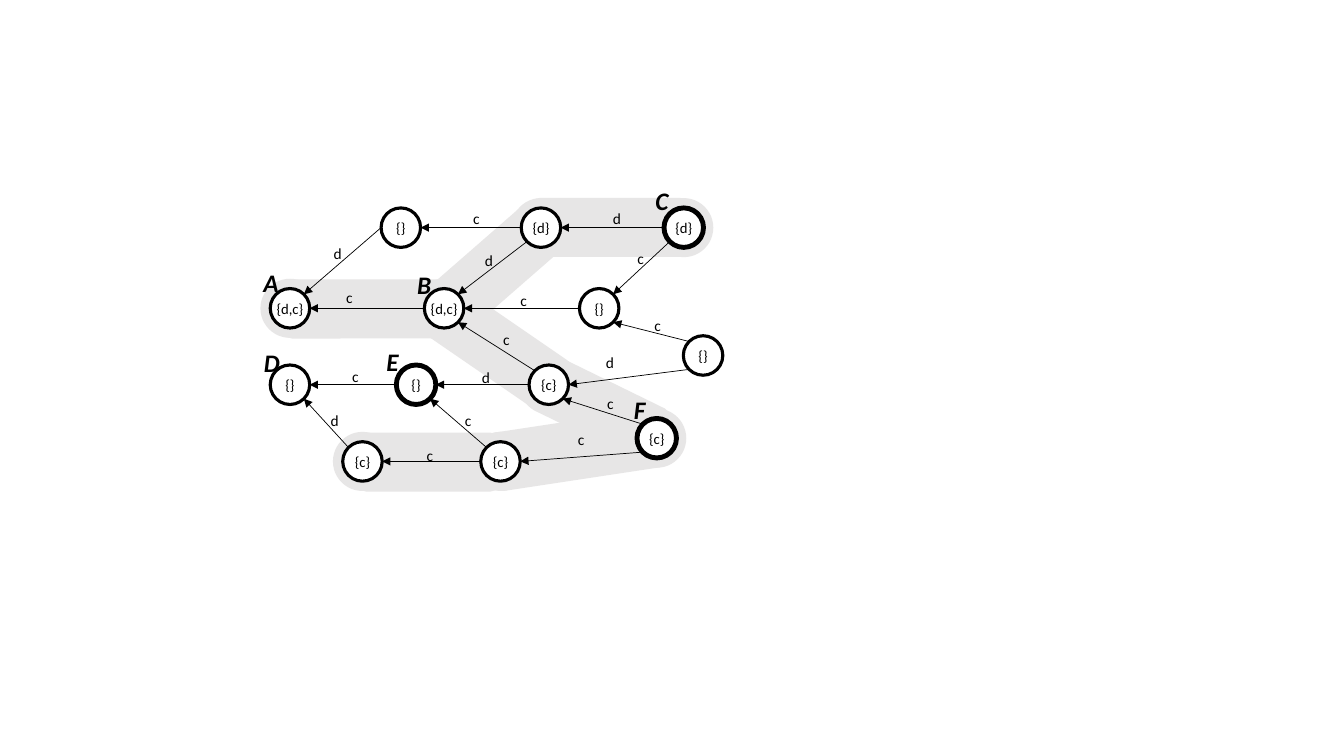
from math import sqrt

from lxml.etree import SubElement
from pptx import Presentation
from pptx.dml.color import RGBColor
from pptx.enum.shapes import MSO_CONNECTOR, MSO_SHAPE
from pptx.enum.text import MSO_ANCHOR, MSO_AUTO_SIZE, PP_ALIGN
from pptx.oxml.ns import qn
from pptx.util import Pt

FONT, BLACK, WHITE, BAND_GREY = "Calibri", "000000", "FFFFFF", "E7E6E6"
NODE_SIZE, BAND_SIZE = 28.2, 42.2

# Nodes: centre x, centre y, text, outline width
NODES = {
    "C": (488.4, 162.6, "{d}", 3.5),
    "right": (502.2, 253.9, "{}", 2.25),
    "F": (469.1, 313, "{c}", 3.5),
    "middle": (428, 220.2, "{}", 2.25),
    "top": (386.4, 162.6, "{d}", 2.25),
    "low": (357.5, 329.6, "{c}", 2.25),
    "B": (317.2, 220.2, "{d,c}", 2.25),
    "low left": (258.9, 329.6, "{c}", 2.25),
    "top left": (286.3, 162.6, "{}", 2.25),
    "E": (297.2, 274.8, "{}", 3.5),
    "centre": (392, 274.8, "{c}", 2.25),
    "D": (207.1, 274.8, "{}", 2.25),
    "A": (207.1, 220.2, "{d,c}", 2.25),
}

# Edges: source, side, target, side, label, label centre x, y
EDGES = [
    ("C", "SW", "middle", "NE", "c", 457.6, 184.7),
    ("C", "W", "top", "E", "d", 440.6, 155.9),
    ("right", "NW", "middle", "SE", "c", 469.8, 232.2),
    ("right", "SW", "centre", "E", "d", 435.6, 258.8),
    ("F", "NW", "centre", "SE", "c", 436, 288.4),
    ("F", "SW", "low", "E", "c", 415.1, 314.3),
    ("top", "W", "top left", "E", "c", 340.2, 155.9),
    ("top left", "W", "A", "NE", "d", 241.2, 181.1),
    ("top", "SW", "B", "NE", "d", 349.2, 186.1),
    ("middle", "W", "B", "E", "c", 374, 214.9),
    ("centre", "NW", "B", "SE", "c", 361.8, 242.3),
    ("centre", "W", "E", "E", "d", 347, 269.6),
    ("low", "NW", "E", "SE", "c", 334.4, 300.6),
    ("low", "W", "low left", "E", "c", 307.1, 325.1),
    ("E", "W", "D", "E", "c", 253.8, 268.9),
    ("low left", "NW", "D", "SE", "d", 239, 300.6),
    ("B", "W", "A", "E", "c", 249.5, 212.8),
]

# Grey paths: centre x, centre y, length, rotation; then the nodes with round ends
BANDS = [
    (306, 330.1, 102.2, 0),
    (347.4, 197.3, 109.4, -41.1),
    (356, 249.1, 103.7, 34.5),
    (435.6, 162.4, 113.8, 0),
    (430.2, 293.4, 92.9, 26.1),
    (260.6, 220.7, 118.1, 0),
    (411.8, 321.5, 125.3, -8.6),
]
BAND_NODES = ["low left", "centre", "C", "top", "B", "A", "low", "F"]

# State names: letter, centre x, centre y
STATE_NAMES = [
    ("C", 473.4, 143.3), ("F", 457.9, 292.3), ("E", 281.2, 258.5),
    ("B", 303.1, 203), ("D", 193.7, 259.2), ("A", 193.3, 201.6),
]

presentation = Presentation()
presentation.slide_width, presentation.slide_height = Pt(960), Pt(540)
slide = presentation.slides.add_slide(presentation.slide_layouts[6])


def colour(value):
    return RGBColor.from_string(value)


def centred_box(x, y, width, height):
    return [Pt(round(v, 2)) for v in (x - width / 2, y - height / 2, width, height)]


def write(frame, text, size, align=PP_ALIGN.CENTER, bold=False, italic=False):
    paragraph = frame.paragraphs[0]
    paragraph.alignment = align
    run = paragraph.add_run()
    run.text = text
    font = run.font
    font.name, font.size, font.bold, font.italic = FONT, Pt(size), bold, italic
    font.color.rgb = colour(BLACK)


def add_label(text, x, y, width, height, size, **text_format):
    box = slide.shapes.add_textbox(*centred_box(x, y, width, height))
    box.text_frame.word_wrap = False
    box.text_frame.auto_size = MSO_AUTO_SIZE.SHAPE_TO_FIT_TEXT
    write(box.text_frame, text, size, **text_format)


def add_filled(kind, x, y, width, height, fill, line_width=0):
    shape = slide.shapes.add_shape(kind, *centred_box(x, y, width, height))
    shape.shadow.inherit = False
    shape.fill.solid()
    shape.fill.fore_color.rgb = colour(fill)
    if line_width:
        shape.line.color.rgb = colour(BLACK)
        shape.line.width = Pt(line_width)
    else:
        shape.line.fill.background()
    return shape


def rim_point(name, side):
    x, y = NODES[name][:2]
    step_x = ("E" in side) - ("W" in side)
    step_y = ("S" in side) - ("N" in side)
    reach = NODE_SIZE / 2 / sqrt(step_x ** 2 + step_y ** 2)
    return Pt(x + step_x * reach), Pt(y + step_y * reach)


def add_arrow(start, end):
    arrow = slide.shapes.add_connector(MSO_CONNECTOR.STRAIGHT, *start, *end)
    arrow.line.color.rgb = colour(BLACK)
    arrow.line.width = Pt(0.5)
    SubElement(arrow.line._get_or_add_ln(), qn("a:tailEnd"), type="triangle")
    SubElement(arrow._element.spPr, qn("a:effectLst"))


# Grey paths
for x, y, length, rotation in BANDS:
    band = add_filled(MSO_SHAPE.ROUNDED_RECTANGLE, x, y, length, BAND_SIZE, BAND_GREY)
    band.rotation = rotation
for name in BAND_NODES:
    add_filled(MSO_SHAPE.OVAL, *NODES[name][:2], BAND_SIZE, BAND_SIZE, BAND_GREY)

# Nodes
for x, y, text, line_width in NODES.values():
    node = add_filled(MSO_SHAPE.OVAL, x, y, NODE_SIZE, NODE_SIZE, WHITE, line_width)
    frame = node.text_frame
    frame.margin_left = frame.margin_right = 0
    frame.vertical_anchor = MSO_ANCHOR.MIDDLE
    write(frame, text, 10.5)

# Edges and their labels
for source, source_side, target, target_side, label, x, y in EDGES:
    add_arrow(rim_point(source, source_side), rim_point(target, target_side))
    add_label(label, x, y, 19.8, 20.6, 11)

# State names
for letter, x, y in STATE_NAMES:
    add_label(letter, x, y, 24.5, 29, 18, align=PP_ALIGN.LEFT, bold=True, italic=True)

presentation.save("out.pptx")
